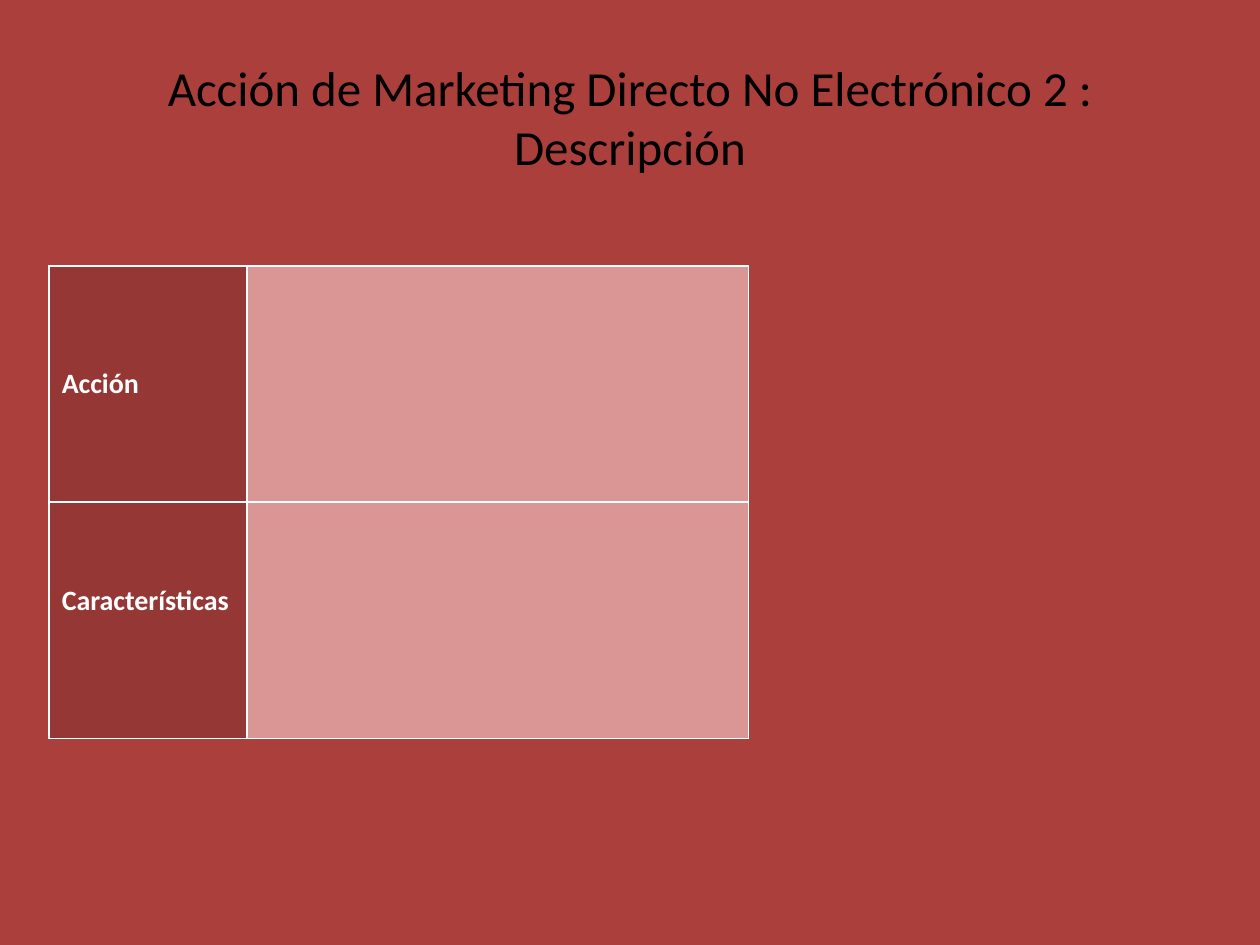
from dataclasses import dataclass

from lxml.etree import SubElement
from pptx import Presentation
from pptx.dml.color import RGBColor
from pptx.enum.text import MSO_ANCHOR, PP_ALIGN
from pptx.oxml.ns import qn
from pptx.util import Inches, Pt


@dataclass(frozen=True)
class Theme:
    """Colours, font and type sizes of the slide."""
    background: str = "AA3F3C"
    title: str = "000000"
    label: str = "FFFFFF"
    label_fill: str = "953735"
    content_fill: str = "D99694"
    border: str = "FFFFFF"
    font: str = "Calibri"
    title_size: int = 28
    label_size: int = 16
    border_width: int = 1


THEME = Theme()
TITLE = "Acción de Marketing Directo No Electrónico 2 : Descripción"
ROWS = [("Acción", 0.05), ("Características", 0.35)]


def format_font(font, size, color, bold=False):
    """Apply the theme typeface with a size, colour and weight."""
    font.name = THEME.font
    font.size = Pt(size)
    font.bold = bold
    font.color.rgb = RGBColor.from_string(color)


def format_cell(cell, fill_color):
    """Give a cell its four borders and its fill."""
    properties = cell._tc.get_or_add_tcPr()
    for side in ("lnL", "lnR", "lnT", "lnB"):
        line = SubElement(properties, qn(f"a:{side}"), w=str(Pt(THEME.border_width)))
        solid_fill = SubElement(line, qn("a:solidFill"))
        SubElement(solid_fill, qn("a:srgbClr"), val=THEME.border)
    cell.fill.solid()
    cell.fill.fore_color.rgb = RGBColor.from_string(fill_color)


def place_title(slide, left, top, width, height):
    """Place the centred title in the given box."""
    title = slide.shapes.title
    title.left, title.top, title.width, title.height = left, top, width, height
    text_frame = title.text_frame
    text_frame.text = TITLE
    text_frame.word_wrap = True
    text_frame.vertical_anchor = MSO_ANCHOR.MIDDLE
    paragraph = text_frame.paragraphs[0]
    paragraph.alignment = PP_ALIGN.CENTER
    format_font(paragraph.runs[0].font, THEME.title_size, THEME.title)


def place_description_table(slide, left, top, width, height):
    """Place the table of labels and empty content cells in the given box."""
    table = slide.shapes.add_table(len(ROWS), 2, left, top, width, height).table
    table.first_row = False
    table.horz_banding = False
    label_width = Inches(1.57)
    table.columns[0].width = label_width
    table.columns[1].width = width - label_width
    for index, (label, bottom_margin) in enumerate(ROWS):
        label_cell, content_cell = table.rows[index].cells
        format_cell(label_cell, THEME.label_fill)
        format_cell(content_cell, THEME.content_fill)
        label_cell.text_frame.text = label
        label_cell.vertical_anchor = MSO_ANCHOR.MIDDLE
        label_cell.margin_bottom = Inches(bottom_margin)
        run = label_cell.text_frame.paragraphs[0].runs[0]
        format_font(run.font, THEME.label_size, THEME.label, bold=True)


def main():
    """Build the slide and save the presentation."""
    presentation = Presentation()
    presentation.slide_width = Inches(10)
    presentation.slide_height = Inches(7.5)
    slide = presentation.slides.add_slide(presentation.slide_layouts[5])
    slide.background.fill.solid()
    slide.background.fill.fore_color.rgb = RGBColor.from_string(THEME.background)
    place_title(slide, Inches(0.5), Inches(0.3), Inches(9), Inches(1.25))
    place_description_table(slide, Inches(0.39), Inches(2.11), Inches(5.55), Inches(3.75))
    presentation.save("out.pptx")


if __name__ == "__main__":
    main()
